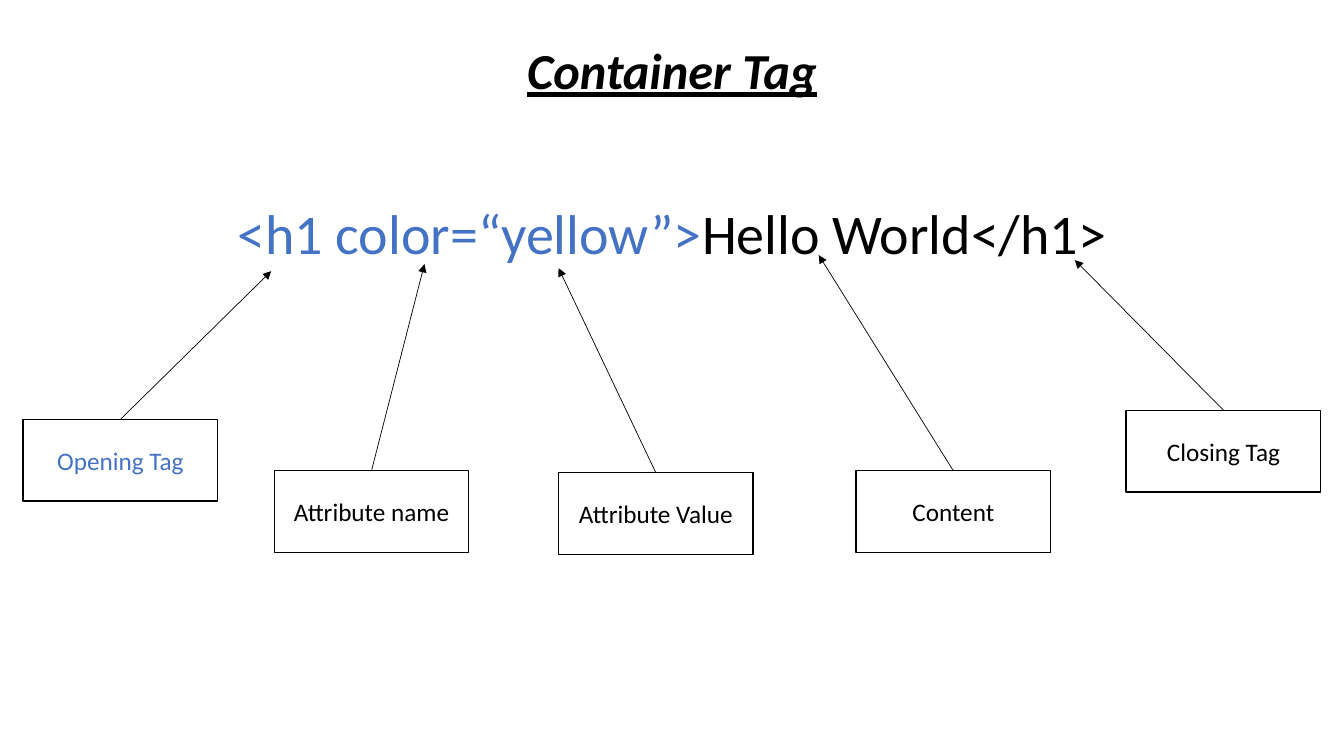
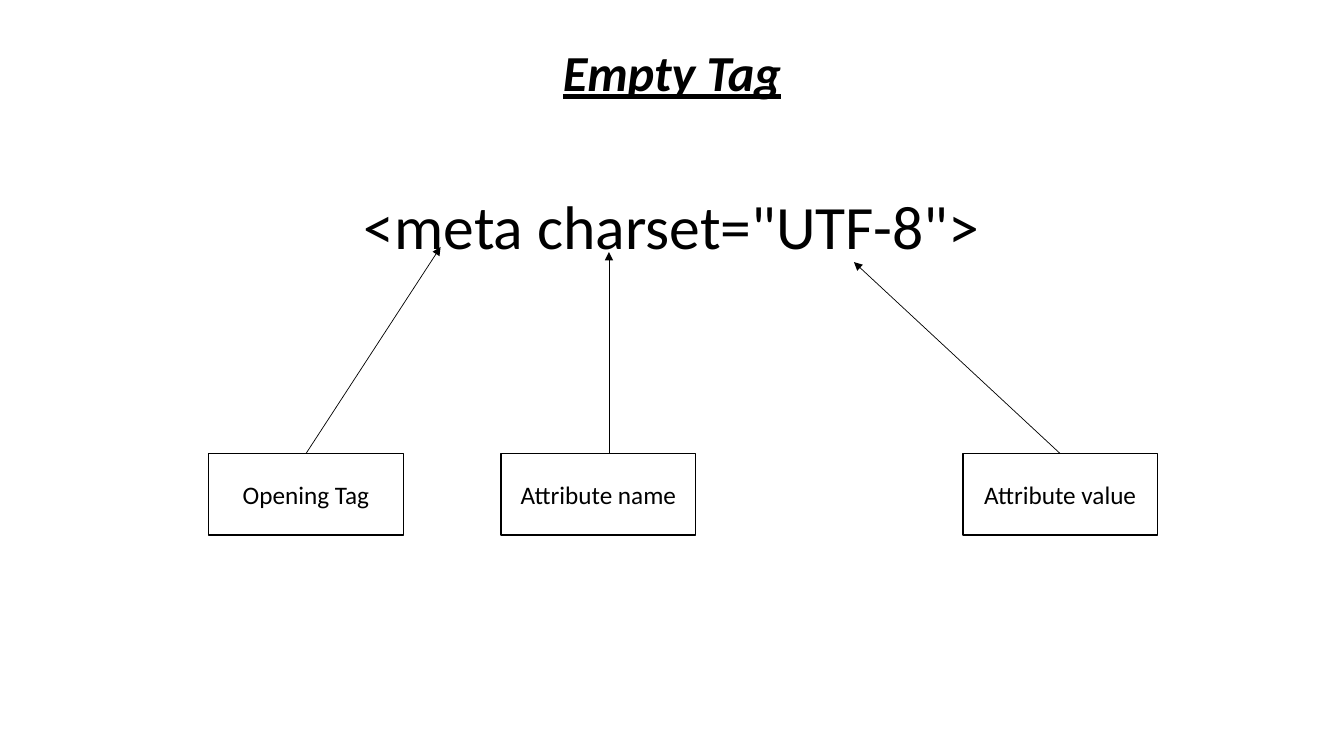
from lxml import etree
from pptx import Presentation
from pptx.dml.color import RGBColor
from pptx.enum.shapes import MSO_CONNECTOR, MSO_SHAPE
from pptx.enum.text import MSO_ANCHOR, PP_ALIGN
from pptx.oxml.ns import qn
from pptx.util import Inches, Pt

RECTANGLE = MSO_SHAPE.RECTANGLE
STRAIGHT = MSO_CONNECTOR.STRAIGHT
CENTER = PP_ALIGN.CENTER
MIDDLE = MSO_ANCHOR.MIDDLE
TOP_SIDE = 0

COLORS = {"paper": "FFFFFF", "ink": "000000", "accent": "4472C4"}
FORMATS = {
    "title": {"size": Pt(36), "bold": True, "italic": True, "underline": True},
    "code": {"size": Pt(40)},
    "large_code": {"size": Pt(44)},
    "label": {"size": Pt(18)},
}
SLIDE_WIDTH, SLIDE_HEIGHT = 13.33, 7.5
TITLE_SIZE = (3.19, 0.85)
CODE_SIZE = (9.63, 1.79)
LABEL_SIZE = (1.93, 0.81)


def color(name):
    return RGBColor.from_string(COLORS[name])


class TagDeck:
    """Draws slides that point labels at the parts of an HTML tag."""

    def __init__(self):
        self.deck = Presentation()
        self.deck.slide_width = Inches(SLIDE_WIDTH)
        self.deck.slide_height = Inches(SLIDE_HEIGHT)
        self.slide = None

    def new_slide(self):
        self.slide = self.deck.slides.add_slide(self.deck.slide_layouts[6])

    def box(self, left, top, size, parts, style, outlined=False):
        panel = self.slide.shapes.add_shape(
            RECTANGLE, *(Inches(length) for length in (left, top, *size)))
        panel.shadow.inherit = False
        panel.fill.solid()
        panel.fill.fore_color.rgb = color("paper")
        if outlined:
            panel.line.color.rgb = color("ink")
            panel.line.width = Pt(1)
        else:
            panel.line.fill.background()
        panel.text_frame.vertical_anchor = MIDDLE
        paragraph = panel.text_frame.paragraphs[0]
        paragraph.alignment = CENTER
        for words, tint in parts:
            run = paragraph.add_run()
            run.text = words
            run.font.name = "Calibri"
            run.font.color.rgb = color(tint)
            for attribute, value in FORMATS[style].items():
                setattr(run.font, attribute, value)
        return panel

    def centered(self, top, size, parts, style):
        return self.box((SLIDE_WIDTH - size[0]) / 2, top, size, parts, style)

    def title(self, words, top):
        self.centered(top, TITLE_SIZE, [(words, "ink")], "title")

    def code(self, parts, top, style="code"):
        self.centered(top, CODE_SIZE, parts, style)

    def label(self, words, left, top, tip, tint="ink", start_x=None):
        panel = self.box(left, top, LABEL_SIZE, [(words, tint)], "label", True)
        begin_x = left + LABEL_SIZE[0] / 2 if start_x is None else start_x
        arrow = self.slide.shapes.add_connector(
            STRAIGHT, *(Inches(length) for length in (begin_x, top, *tip)))
        if start_x is None:
            arrow.begin_connect(panel, TOP_SIDE)
        arrow.line.color.rgb = color("ink")
        arrow.line.width = Pt(0.5)
        etree.SubElement(arrow.line._get_or_add_ln(), qn("a:tailEnd"), type="triangle")
        etree.SubElement(arrow._element.spPr, qn("a:effectLst"))

    def save(self):
        self.deck.save("out.pptx")


def main():
    deck = TagDeck()

    deck.new_slide()
    deck.title("Container Tag", 0.26)
    deck.code([("<h1 color=“yellow”>", "accent"), ("Hello World</h1>", "ink")], 1.41)
    deck.label("Opening Tag", 0.23, 4.16, (2.69, 2.69), tint="accent")
    deck.label("Attribute name", 2.72, 4.67, (4.21, 2.62))
    deck.label("Attribute Value", 5.54, 4.69, (5.54, 2.66))
    deck.label("Content", 8.49, 4.67, (8.12, 2.53))
    deck.label("Closing Tag", 11.17, 4.07, (10.66, 2.58))

    deck.new_slide()
    deck.title("Empty Tag", 0.28)
    deck.code([('<meta charset="UTF-8">', "ink")], 1.34, "large_code")
    label_top = 4.5
    deck.label("Opening Tag", 2.07, label_top, (4.37, 2.45))
    deck.label("Attribute name", 4.97, label_top, (6.04, 2.5), start_x=6.04)
    deck.label("Attribute value", 9.55, label_top, (8.47, 2.6))

    deck.save()


if __name__ == "__main__":
    main()
